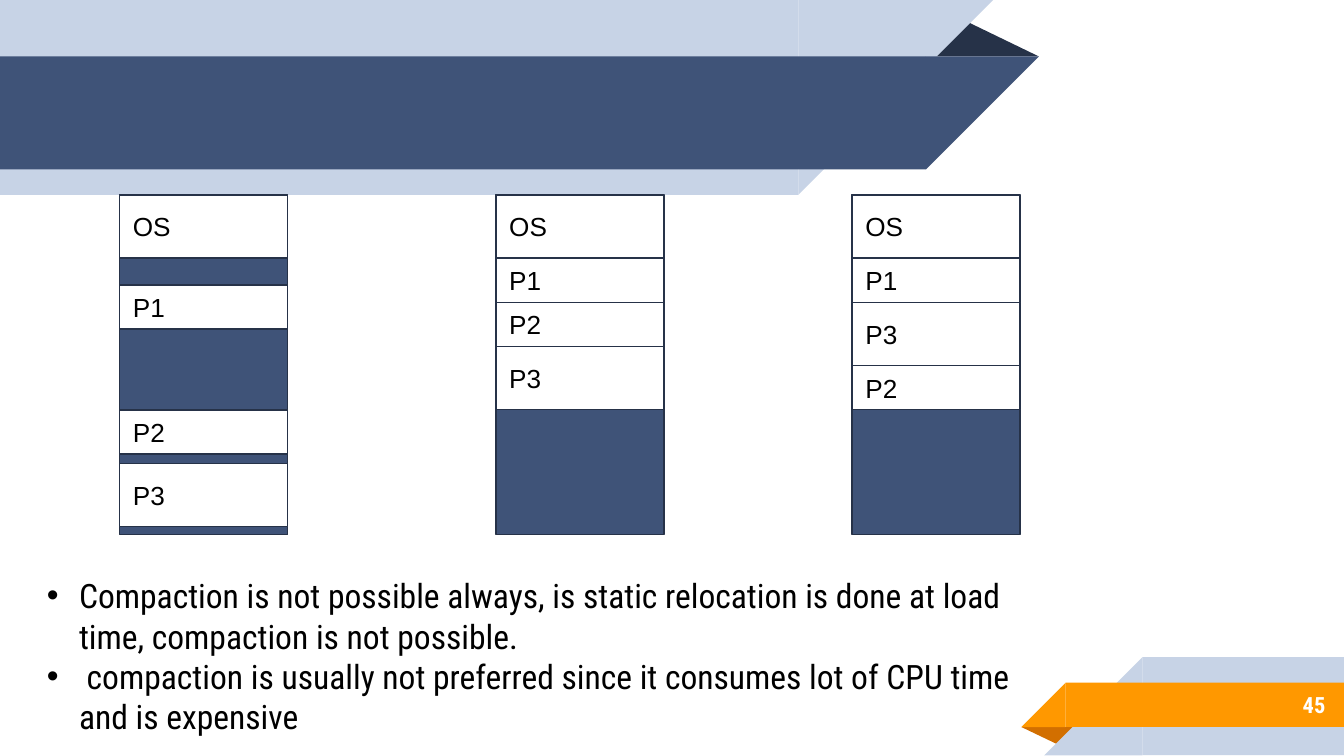
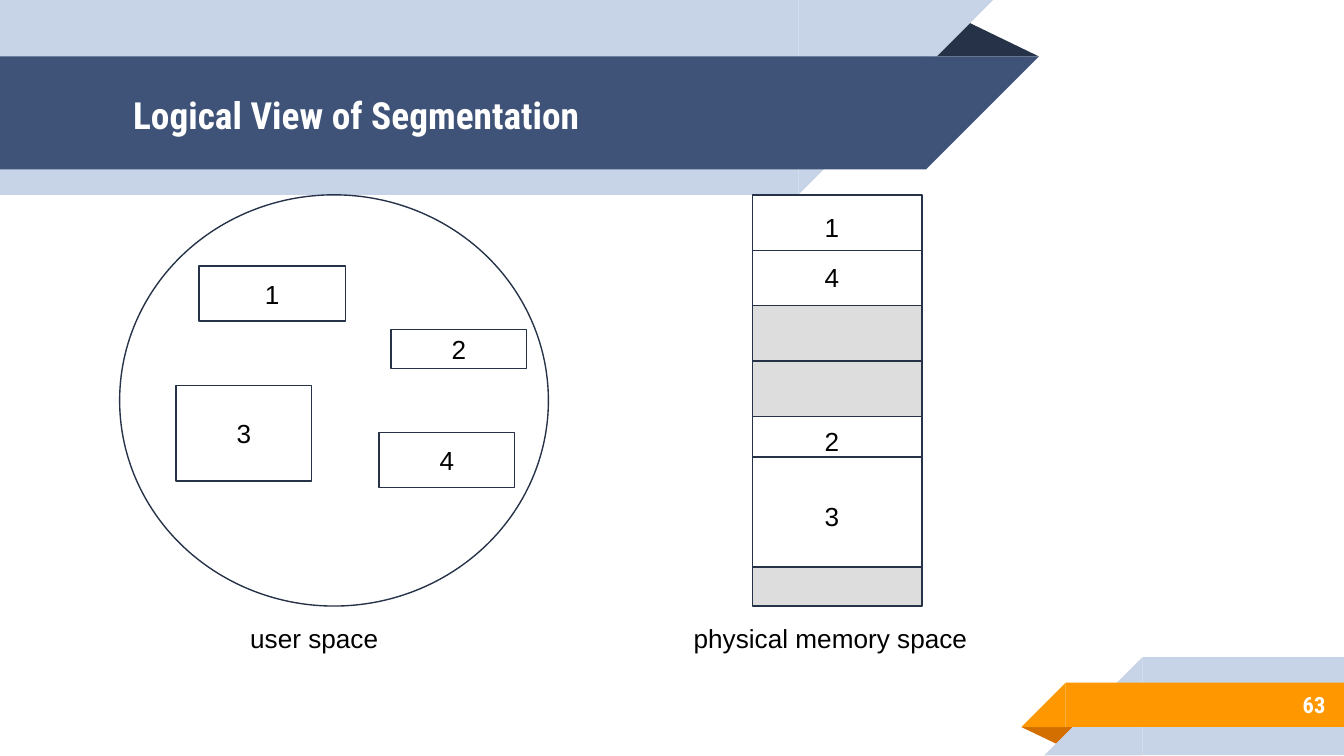
"""Build two slides on memory compaction and segmentation."""
from dataclasses import dataclass

from lxml import etree
from pptx import Presentation
from pptx.dml.color import RGBColor
from pptx.enum.shapes import MSO_CONNECTOR, MSO_SHAPE
from pptx.enum.text import MSO_ANCHOR, MSO_AUTO_SIZE, PP_ALIGN
from pptx.oxml.ns import qn
from pptx.util import Inches, Pt

RECT = MSO_SHAPE.RECTANGLE
OVAL = MSO_SHAPE.OVAL
CORNER = MSO_SHAPE.RIGHT_TRIANGLE
WEDGE = MSO_SHAPE.ISOSCELES_TRIANGLE
STRAIGHT = MSO_CONNECTOR.STRAIGHT
LEFT, MID, RIGHT = PP_ALIGN.LEFT, PP_ALIGN.CENTER, PP_ALIGN.RIGHT
TOP, CENTRE = MSO_ANCHOR.TOP, MSO_ANCHOR.MIDDLE
GROW, FIXED = MSO_AUTO_SIZE.SHAPE_TO_FIT_TEXT, MSO_AUTO_SIZE.NONE
COLS = 100


@dataclass(frozen=True)
class Theme:
    """Colours, fonts and type sizes."""
    navy: str = "3F5378"
    dark: str = "263248"
    pale: str = "C7D3E6"
    amber: str = "FF9800"
    rust: str = "D26F00"
    grey: str = "DDDDDD"
    white: str = "FFFFFF"
    black: str = "000000"
    head: str = "Roboto Condensed"
    body: str = "Arial"
    title: int = 20
    text: int = 18
    label: int = 14
    page: int = 12
    rule: float = 0.75


class Deck:
    """Hold the style and the current slide; lengths are grid columns."""

    def __init__(self, theme):
        """Start a 16:9 deck with a grid of square cells."""
        self.prs = Presentation()
        self.prs.slide_width = Inches(10)
        self.prs.slide_height = self.prs.slide_width * 9 // 16
        self.cell = self.prs.slide_width / COLS
        self.theme = theme
        self.slide = None

    def scale(self, *cells):
        """Turn grid cells into slide lengths."""
        return [round(n * self.cell) for n in cells]

    def start(self, page, title=None):
        """Add a slide with its bands, title and page number."""
        t = self.theme
        layout = self.prs.slide_layouts[5 if title else 6]
        self.slide = self.prs.slides.add_slide(layout)
        self.bands()
        if title:
            self.title(title)
        box = self.text((83.3, 50.7, 16.3, 3.5), [page], t.page, t.head,
                        t.white, RIGHT, bold=True)
        self.inset(box.text_frame)

    def bands(self):
        """Draw the page ribbon and the title ribbon."""
        t = self.theme
        self.wedge((76, 54.1, 4.3, 1.4), t.rust, 180)
        self.ribbon(85, 48.9, 15, 7.3, t.pale, False)
        self.ribbon(79.3, 50.8, 20.7, 3.3, t.amber, False)
        self.wedge((68.8, 1.4, 8.5, 2.8), t.dark, 0)
        self.ribbon(0, 0, 59.4, 14.5, t.pale, True)
        self.ribbon(0, 4.2, 68.9, 8.4, t.navy, True)

    def wedge(self, box, fill, turn):
        """Draw the folded end of a ribbon."""
        fold = self.shape(WEDGE, box, fill, line=False)
        fold.adjustments[0] = 0.32
        fold.rotation = turn

    def ribbon(self, x, y, wide, high, fill, ahead):
        """Draw a bar with a slanted tip on its right or left."""
        self.shape(RECT, (x, y, wide, high), fill, line=False)
        tip = x + wide if ahead else x - high
        end = self.shape(CORNER, (tip, y, high, high), fill, line=False)
        end.rotation = 90 if ahead else 270

    def title(self, words):
        """Place and format the title above the bands."""
        t = self.theme
        head = self.slide.shapes.title
        self.slide.shapes.element.append(head.element)
        head.left, head.top, head.width, head.height = self.scale(
            8.9, 4.3, 60.1, 8.4)
        self.fill(head.text_frame, [words], t.title, t.head, t.white, LEFT,
                  bold=True)
        head.text_frame.auto_size = FIXED
        self.inset(head.text_frame)

    def inset(self, frame):
        """Give a text frame equal margins."""
        gap, = self.scale(1)
        frame.margin_left = frame.margin_right = gap
        frame.margin_top = frame.margin_bottom = gap

    def fill(self, frame, lines, size, font, color, align, bold=False,
             wrap=True, anchor=CENTRE):
        """Fill a text frame and format its runs."""
        frame.text = "\n".join(lines)
        frame.word_wrap = wrap
        frame.vertical_anchor = anchor
        for para in frame.paragraphs:
            para.alignment = align
            for run in para.runs:
                run.font.size = Pt(size)
                run.font.name = font
                run.font.bold = bold
                run.font.color.rgb = RGBColor.from_string(color)

    def shape(self, kind, box, fill, line=True):
        """Draw a filled preset shape."""
        item = self.slide.shapes.add_shape(kind, *self.scale(*box))
        item.shadow.inherit = False
        item.fill.solid()
        item.fill.fore_color.rgb = RGBColor.from_string(fill)
        if line:
            self.edge(item.line)
        else:
            item.line.fill.background()
        return item

    def edge(self, line):
        """Style an outline or rule."""
        line.color.rgb = RGBColor.from_string(self.theme.dark)
        line.width = Pt(self.theme.rule)

    def block(self, box, words, align):
        """Draw a white box with a label inside."""
        t = self.theme
        item = self.shape(RECT, box, t.white)
        self.fill(item.text_frame, [words], t.label, t.body, t.black, align,
                  wrap=False)

    def text(self, box, lines, size, font, color, align, **style):
        """Add a text box."""
        item = self.slide.shapes.add_textbox(*self.scale(*box))
        self.fill(item.text_frame, lines, size, font, color, align, **style)
        return item

    def label(self, box, words):
        """Add a centred caption."""
        t = self.theme
        item = self.text(box, [words], t.label, t.body, t.black, MID,
                         wrap=False)
        item.text_frame.auto_size = GROW
        item.text_frame.paragraphs[0].space_before = Pt(t.label / 2)

    def points(self, box, lines):
        """Add a bulleted list."""
        t = self.theme
        item = self.text(box, lines, t.text, t.head, t.black, LEFT,
                         anchor=TOP)
        item.text_frame.auto_size = GROW
        hang, = self.scale(2.4)
        for para in item.text_frame.paragraphs:
            props = para._p.get_or_add_pPr()
            props.set("marL", str(hang))
            props.set("indent", str(-hang))
            tint = etree.SubElement(props, qn("a:buClr"))
            etree.SubElement(tint, qn("a:srgbClr"), val=t.black)
            etree.SubElement(props, qn("a:buFont"), typeface=t.body)
            etree.SubElement(props, qn("a:buChar"), char="•")

    def rule(self, x, y, wide, host=None):
        """Draw a level line, joined to the sides of a host if given."""
        x1, x2, y1 = self.scale(x, x + wide, y)
        line = self.slide.shapes.add_connector(STRAIGHT, x1, y1, x2, y1)
        if host is not None:
            line.begin_connect(host, 1)
            line.end_connect(host, 3)
        self.edge(line.line)
        etree.SubElement(line.element.spPr, qn("a:effectLst"))


def compact(deck):
    """Show memory before and after two ways of compaction."""
    deck.start("45")
    top, wide = 14.5, 12.5
    size = {"OS": 4.7, "P1": 3.3, "P2": 3.3, "P3": 4.7}
    stacks = (
        (8.9, (("OS", 0), ("P1", 2), ("P2", 6), ("P3", 0.7))),
        (36.9, (("OS", 0), ("P1", 0), ("P2", 0), ("P3", 0))),
        (63.4, (("OS", 0), ("P1", 0), ("P3", 0), ("P2", 0))),
    )
    for x, parts in stacks:
        deck.shape(RECT, (x, top, wide, 25.3), deck.theme.navy)
        y = top
        for name, gap in parts:
            y += gap
            deck.block((x, y, wide, size[name]), name, LEFT)
            y += size[name]
    deck.points((2.5, 42.3, 75, 13.1), [
        "Compaction is not possible always, is static relocation is done at "
        "load time, compaction is not possible.",
        " compaction is usually not preferred since it consumes lot of CPU "
        "time and is expensive",
    ])


def segment(deck):
    """Show segments in user space and in physical memory."""
    t = deck.theme
    deck.start("63", "Logical View of Segmentation")
    deck.shape(OVAL, (8.9, 14.5, 31.9, 30.6), t.white)
    parts = (
        ("1", (14.8, 19.8, 10.9, 4.1)),
        ("3", (13.1, 28.7, 10.1, 7.1)),
        ("2", (29.1, 24.5, 10.1, 2.9)),
        ("4", (28.2, 32.2, 10.1, 4.1)),
    )
    for name, box in parts:
        deck.block(box, name, MID)

    x, y, wide = 56, 14.5, 12.6
    cells = ((8.25, t.white, True), (8.25, t.grey, True),
             (11.2, t.white, False), (2.9, t.grey, False))
    for high, fill, halved in cells:
        cell = deck.shape(RECT, (x, y, wide, high), fill)
        if halved:
            deck.rule(x, y + high / 2, wide, cell)
        y += high
    deck.rule(x, 34, wide)
    for name, y in (("1", 15.5), ("4", 19.2), ("2", 31.4), ("3", 37)):
        deck.label((60.2, y, 3.4, 2.8), name)
    deck.label((16.1, 46.1, 15.1, 2.8), "user space ")
    deck.label((47.6, 46.1, 28.4, 2.8), "physical memory space")


def main():
    """Build and save the deck."""
    deck = Deck(Theme())
    compact(deck)
    segment(deck)
    deck.prs.save("out.pptx")


if __name__ == "__main__":
    main()
